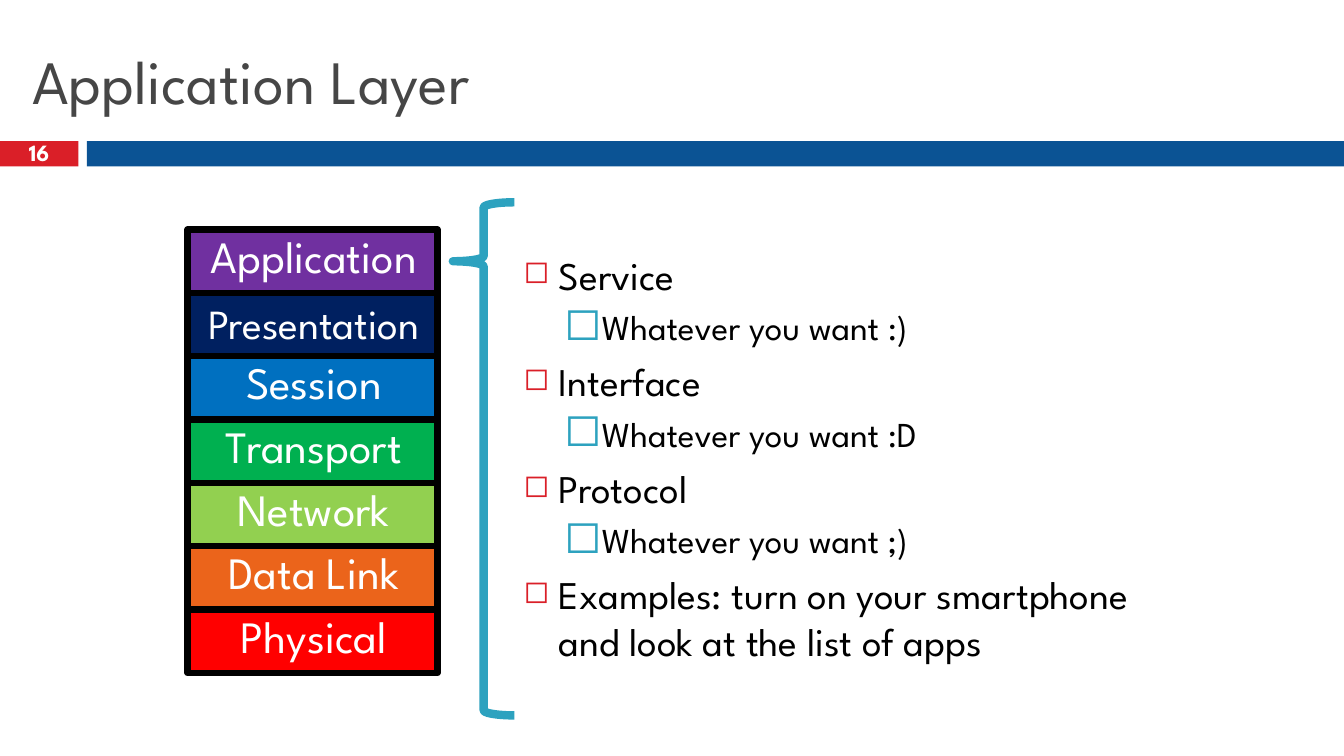
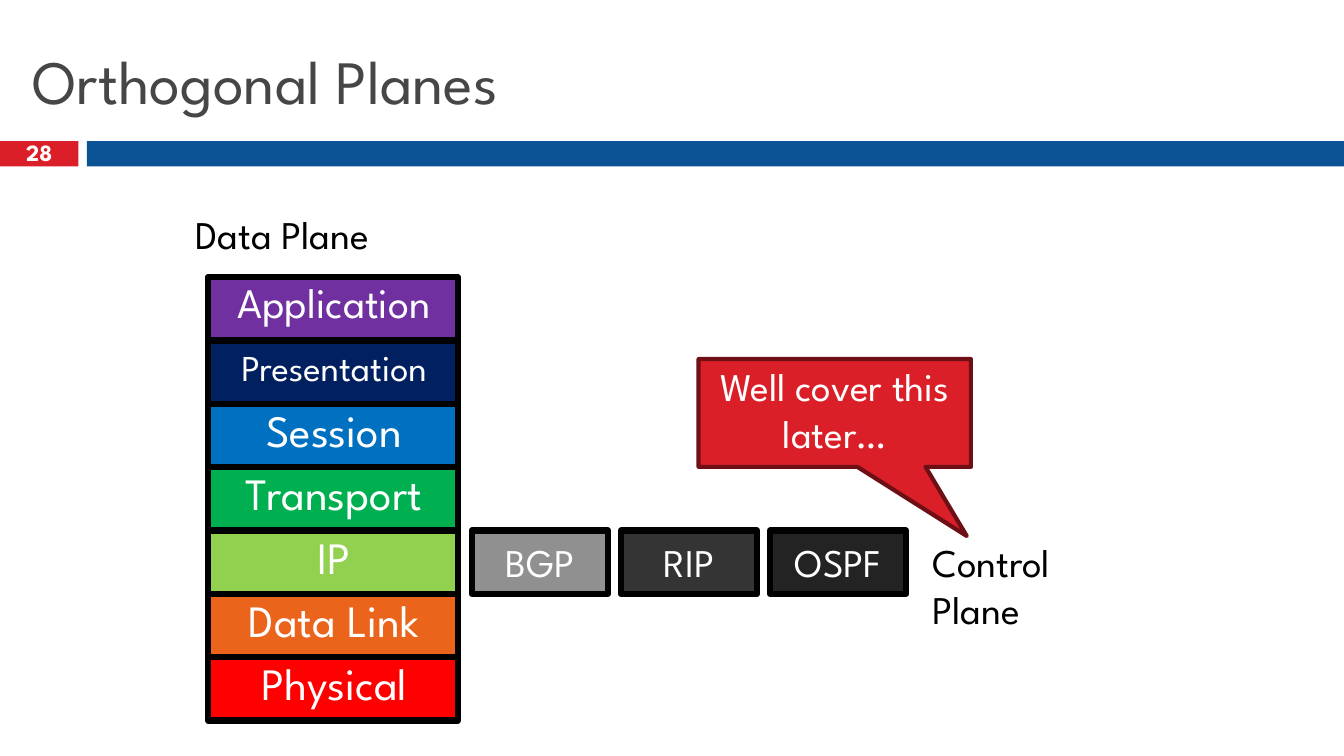
"""Build two lecture slides on network layers and the data and control planes."""
import pptx
import pptx.util
import pptx.dml.color
import pptx.enum.shapes
import pptx.enum.text
import pptx.oxml.ns
import lxml.etree

Pt = pptx.util.Pt
RGB = pptx.dml.color.RGBColor
SHAPE = pptx.enum.shapes.MSO_SHAPE
ALIGN = pptx.enum.text.PP_ALIGN
ANCHOR = pptx.enum.text.MSO_ANCHOR
qn = pptx.oxml.ns.qn

FONT = "League Spartan"
BLACK, WHITE = RGB(0, 0, 0), RGB(255, 255, 255)
TITLE_GRAY = RGB(0x46, 0x46, 0x46)
RED, DARK_RED = RGB(0xDA, 0x1F, 0x28), RGB(0x6D, 0x0F, 0x14)
BLUE, TEAL = RGB(0x0B, 0x53, 0x94), RGB(0x2D, 0xA2, 0xBF)
LAYER_COLORS = [RGB.from_string(c) for c in (
    "7030A0", "002060", "0070C0", "00B050", "92D050", "EB641B", "FF0000")]

SLIDE_W, SLIDE_H = 960, 540
BAND_TOP, BAND_H, NUMBER_W, BAND_LEFT = 100.8, 18, 56, 62
LAYER_W, LAYER_H = 178.5, 45.25
BOX_W, BOX_PITCH = 97.25, 106.5
BORDER = 4.5

OSI_LAYERS = [("Application", 32), ("Presentation", 29.6), ("Session", 32),
              ("Transport", 32), ("Network", 32), ("Data Link", 32),
              ("Physical", 32)]
DATA_PLANE = [("Application", 30), ("Presentation", 26), ("Session", 32),
              ("Transport", 32), ("IP", 32), ("Data Link", 32),
              ("Physical", 32)]
CONTROL_PLANE = [("BGP", RGB(0x90, 0x90, 0x90)), ("RIP", RGB(0x34, 0x34, 0x34)),
                 ("OSPF", RGB(0x23, 0x23, 0x23))]
POINTS = [(0, "Service"), (1, "Whatever you want :)"),
          (0, "Interface"), (1, "Whatever you want :D"),
          (0, "Protocol"), (1, "Whatever you want ;)"),
          (0, "Examples: turn on your smartphone and look at the list of apps")]
BULLET = "◻"
LEVELS = [dict(size=28, before=7, bullet=(RED, 80, 25.2, -25.2)),
          dict(size=25, before=5.5, bullet=(TEAL, 130, 52, -23.2))]


def add_text(s, text, size=28, color=BLACK, bold=False, align=ALIGN.LEFT,
             spacing=None, before=None, bullet=None):
    tf = s.text_frame
    p = tf.paragraphs[0] if not tf.text else tf.add_paragraph()
    p.alignment = align
    if spacing:
        p.line_spacing = spacing
    if before:
        p.space_before = Pt(before)
    if bullet:
        bullet_color, percent, margin, indent = bullet
        pPr = p._p.get_or_add_pPr()
        pPr.set("marL", str(Pt(margin)))
        pPr.set("indent", str(Pt(indent)))
        buClr = lxml.etree.SubElement(pPr, qn("a:buClr"))
        lxml.etree.SubElement(buClr, qn("a:srgbClr"), val=str(bullet_color))
        lxml.etree.SubElement(pPr, qn("a:buSzPct"), val=str(percent * 1000))
        lxml.etree.SubElement(pPr, qn("a:buChar"), char=BULLET)
    r = p.add_run()
    r.text = text
    r.font.name, r.font.size, r.font.bold = FONT, Pt(size), bold
    r.font.color.rgb = color


def set_frame(s, anchor, margins):
    tf = s.text_frame
    tf.word_wrap = True
    tf.vertical_anchor = anchor
    tf.margin_left, tf.margin_top, tf.margin_right, tf.margin_bottom = map(Pt, margins)


def add_box(slide, left, top, width, height, anchor=ANCHOR.TOP):
    s = slide.shapes.add_textbox(Pt(left), Pt(top), Pt(width), Pt(height))
    set_frame(s, anchor, (7.2, 3.6, 7.2, 3.6))
    return s


def add_shape(slide, kind, left, top, width, height, fill=None, line=None,
              line_w=BORDER, anchor=ANCHOR.MIDDLE, margins=(7.2, 3.6, 7.2, 3.6)):
    s = slide.shapes.add_shape(kind, Pt(left), Pt(top), Pt(width), Pt(height))
    s.shadow.inherit = False
    if fill is None:
        s.fill.background()
    else:
        s.fill.solid()
        s.fill.fore_color.rgb = fill
    if line is None:
        s.line.fill.background()
    else:
        s.line.color.rgb = line
        s.line.width = Pt(line_w)
    set_frame(s, anchor, margins)
    return s


def add_slide(prs, title, number):
    slide = prs.slides.add_slide(prs.slide_layouts[6])
    s = add_shape(slide, SHAPE.RECTANGLE, 0, BAND_TOP, NUMBER_W, BAND_H, RED,
                  margins=(0, 2, 0, 0))
    add_text(s, number, size=16.6, color=WHITE, bold=True, align=ALIGN.CENTER,
             spacing=0.8)
    add_shape(slide, SHAPE.RECTANGLE, BAND_LEFT, BAND_TOP, SLIDE_W - BAND_LEFT,
              BAND_H, BLUE)
    s = add_box(slide, 16, 18, 928, 78, ANCHOR.MIDDLE)
    add_text(s, title, size=44, color=TITLE_GRAY)
    return slide


def add_stack(slide, layers, left, top):
    for i, ((name, size), fill) in enumerate(zip(layers, LAYER_COLORS)):
        s = add_shape(slide, SHAPE.RECTANGLE, left, top + i * LAYER_H, LAYER_W,
                      LAYER_H, fill, BLACK, anchor=ANCHOR.TOP,
                      margins=(8.2, 3.6, 6.2, 3.6))
        add_text(s, name, size=size, color=WHITE, align=ALIGN.CENTER,
                 spacing=1 if name == "Presentation" else 0.9)


def build_application(prs):
    slide = add_slide(prs, "Application Layer", "16")
    s = add_box(slide, 367, 126, 461, 402, ANCHOR.MIDDLE)
    for i, (level, text) in enumerate(POINTS):
        style = LEVELS[level] if i else {**LEVELS[level], "before": None}
        add_text(s, text, **style)
    stack_top, brace_top, brace_h = 164, 144.5, 366.5
    add_stack(slide, OSI_LAYERS, 134, stack_top)
    brace = add_shape(slide, SHAPE.LEFT_BRACE, 323.5, brace_top, 44, brace_h,
                      line=TEAL, line_w=6)
    brace.adjustments[0] = 0.083
    brace.adjustments[1] = (stack_top + LAYER_H / 2 - brace_top) / brace_h


def build_planes(prs):
    slide = add_slide(prs, "Orthogonal Planes", "28")
    stack_top = 198
    add_stack(slide, DATA_PLANE, 148.5, stack_top)
    add_text(add_box(slide, 132.5, 147, 215, 41), "Data Plane")
    ip_top = stack_top + 4 * LAYER_H
    for i, (name, fill) in enumerate(CONTROL_PLANE):
        s = add_shape(slide, SHAPE.RECTANGLE, 337 + i * BOX_PITCH, ip_top, BOX_W,
                      LAYER_H, fill, BLACK)
        add_text(s, name, color=WHITE, align=ALIGN.CENTER)
    add_text(add_box(slide, 659, 381, 150, 75), "Control Plane")
    callout = add_shape(slide, SHAPE.RECTANGULAR_CALLOUT, 499, 256.5, 194.5, 77,
                        RED, DARK_RED, 3, ANCHOR.TOP, (7.2, 2, 7.2, 2))
    callout.adjustments[0], callout.adjustments[1] = 0.485, 1.142
    add_text(callout, "Well cover this later…", color=WHITE, align=ALIGN.CENTER)


def main():
    prs = pptx.Presentation()
    prs.slide_width, prs.slide_height = Pt(SLIDE_W), Pt(SLIDE_H)
    build_application(prs)
    build_planes(prs)
    prs.save("out.pptx")


if __name__ == "__main__":
    main()
